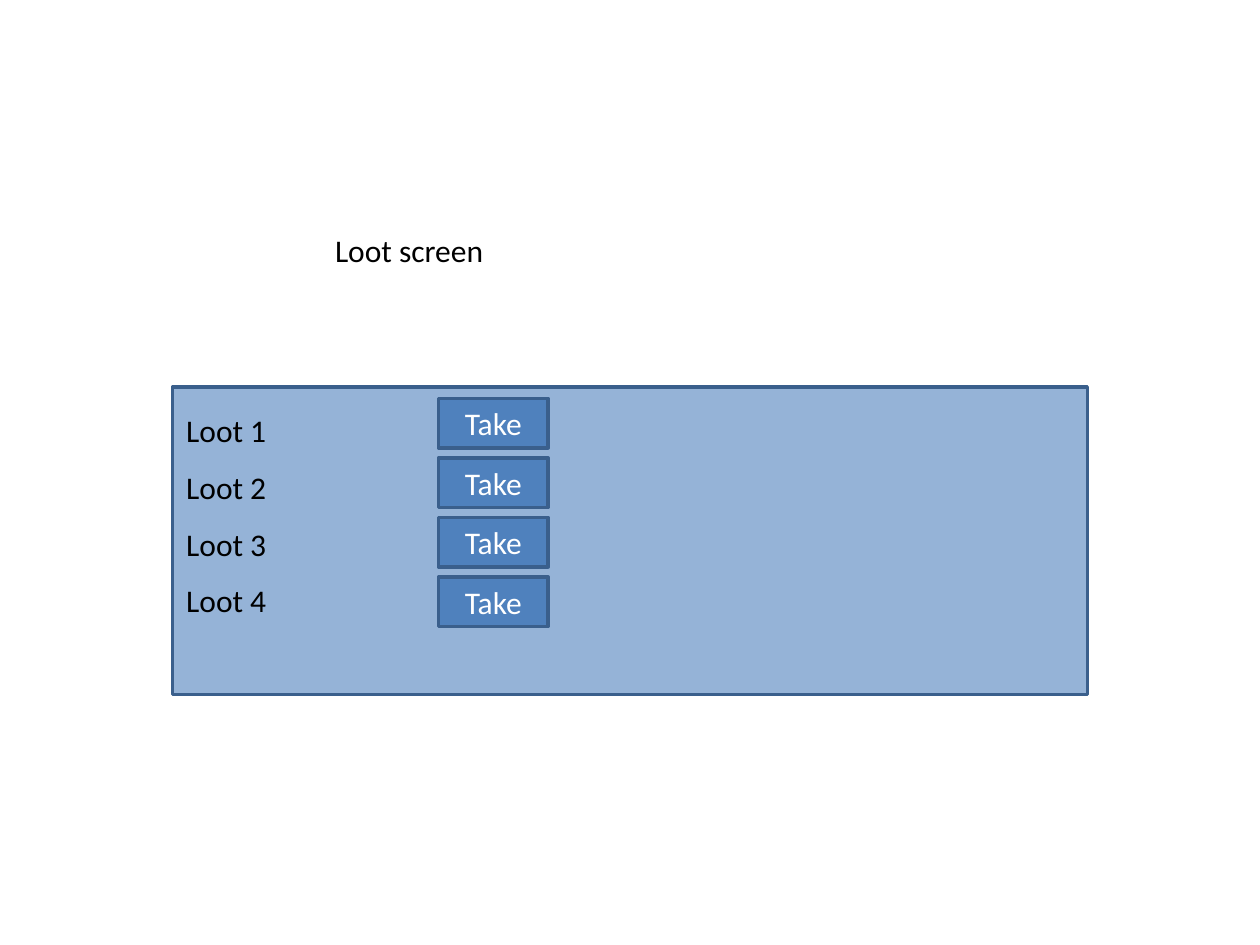
from lxml import etree
from pptx import Presentation
from pptx.dml.color import RGBColor
from pptx.enum.shapes import MSO_SHAPE
from pptx.enum.text import MSO_ANCHOR, MSO_AUTO_SIZE, PP_ALIGN
from pptx.oxml.ns import qn
from pptx.util import Cm, Pt

RECTANGLE = MSO_SHAPE.RECTANGLE
TOP, MIDDLE = MSO_ANCHOR.TOP, MSO_ANCHOR.MIDDLE
LEFT, CENTER = PP_ALIGN.LEFT, PP_ALIGN.CENTER
NO_AUTOFIT = MSO_AUTO_SIZE.NONE

BLACK, WHITE = "000000", "FFFFFF"
PANEL_BLUE, BUTTON_BLUE, EDGE_BLUE = "95B3D7", "4F81BD", "3A5F8C"
TITLE_TEXT = "Loot screen"
LOOT = ["Loot 1", "Loot 2", "Loot 3", "Loot 4"]


def color(hex_value):
    """Turn a hex string into a colour."""
    return RGBColor.from_string(hex_value)


def apply_format(target, values):
    """Set every attribute named in a dict of format values."""
    for name, value in values.items():
        setattr(target, name, value)


def place(shape, left, top, width, height):
    """Move and size a shape, in centimetres."""
    apply_format(shape, {"left": Cm(left), "top": Cm(top),
                         "width": Cm(width), "height": Cm(height)})


def write(shape, lines, ink, anchor=TOP, wrap=True, **paragraph_format):
    """Write one paragraph per line, all in the slide's text style."""
    frame = shape.text_frame
    frame.text = "\n".join(lines)
    apply_format(frame, {"auto_size": NO_AUTOFIT, "word_wrap": wrap,
                         "vertical_anchor": anchor})
    for paragraph in frame.paragraphs:
        apply_format(paragraph, {"space_before": Pt(0), **paragraph_format})
        for run in paragraph.runs:
            apply_format(run.font, {"name": "Calibri", "size": Pt(18)})
            run.font.color.rgb = color(ink)


def remove_bullets(shape):
    """Turn off bullets and hanging indents."""
    for paragraph in shape.text_frame.paragraphs:
        properties = paragraph._p.get_or_add_pPr()
        properties.set("marL", "0")
        properties.set("indent", "0")
        etree.SubElement(properties, qn("a:buNone"))


def add_box(slide, fill, left, top, width, height):
    """Add a filled rectangle with the common edge."""
    box = slide.shapes.add_shape(RECTANGLE, Cm(left), Cm(top),
                                 Cm(width), Cm(height))
    box.shadow.inherit = False
    box.fill.solid()
    box.fill.fore_color.rgb = color(fill)
    box.line.color.rgb = color(EDGE_BLUE)
    box.line.width = Pt(2)
    return box


def build_heading(slide, left, top, width, height):
    """Fill the title placeholder within the given box."""
    heading = slide.shapes.title
    place(heading, left, top, width, height)
    write(heading, [TITLE_TEXT], BLACK, wrap=False, alignment=LEFT)


def build_loot_panel(slide, left, top, width, height):
    """Build the panel with its loot list and a button for each item."""
    add_box(slide, PANEL_BLUE, left, top, width, height)

    loot_list = slide.placeholders[1]
    slide.shapes.element.append(loot_list.element)
    place(loot_list, left + 0.02, top - 0.02, 9.45, 4.88)
    write(loot_list, LOOT, BLACK, alignment=LEFT, line_spacing=1.5)
    remove_bullets(loot_list)

    for row in range(len(LOOT)):
        button = add_box(slide, BUTTON_BLUE, left + 5.36,
                         top + 0.23 + row * 1.2, 2.21, 1)
        write(button, ["Take"], WHITE, anchor=MIDDLE, alignment=CENTER)


def main():
    """Build and save the slide."""
    deck = Presentation()
    deck.slide_width, deck.slide_height = Cm(25.4), Cm(19.05)
    slide = deck.slides.add_slide(deck.slide_layouts[1])
    build_heading(slide, 6.5, 4.52, 3.53, 1.02)
    build_loot_panel(slide, 3.48, 7.8, 18.44, 6.2)
    deck.save("out.pptx")


main()
